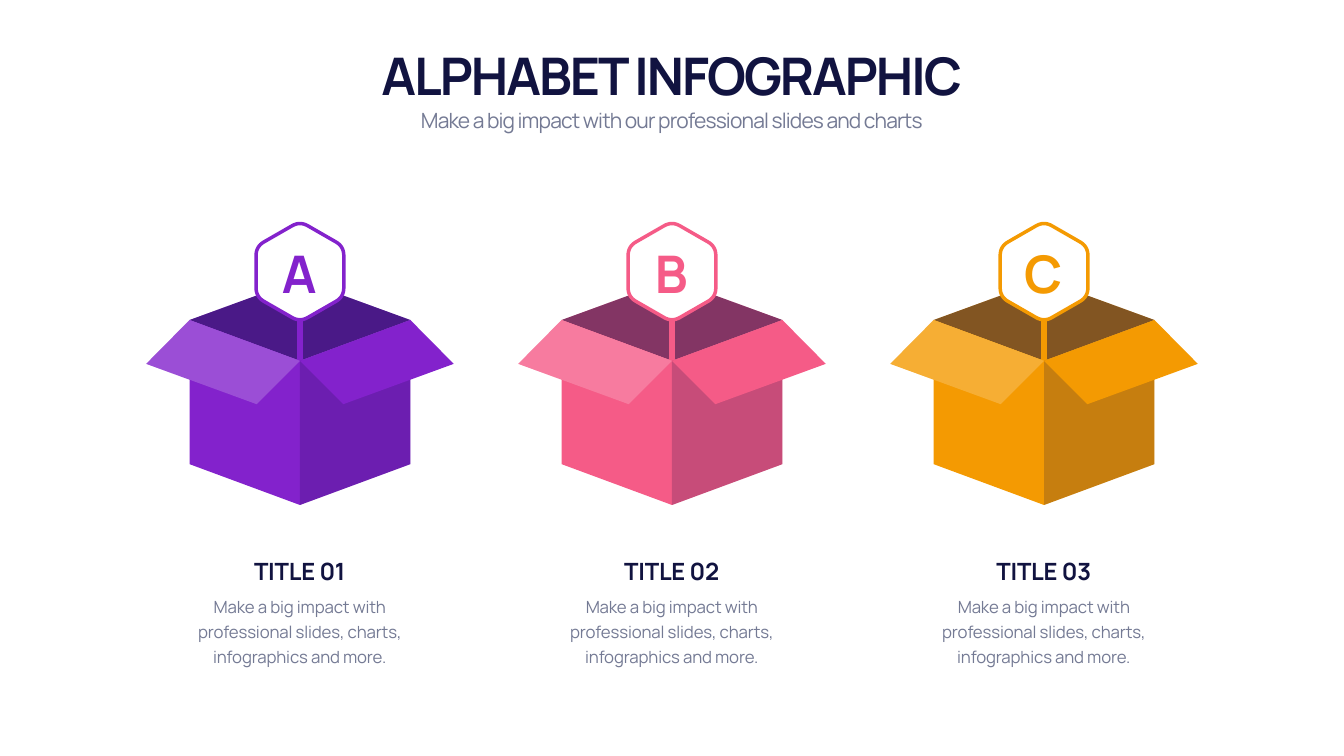
from dataclasses import dataclass

from lxml.etree import SubElement
from pptx import Presentation
from pptx.dml.color import RGBColor
from pptx.enum.text import MSO_ANCHOR as Anchor, MSO_AUTO_SIZE as AutoSize, PP_ALIGN as Align
from pptx.oxml.ns import qn
from pptx.util import Emu, Pt

PX = 9144  # EMU in one px, 100 px to the inch


@dataclass(frozen=True)
class Theme:
    font: str = "Manrope"
    ink: str = "111340"
    muted: str = "747A94"
    shade: str = "121143"
    white: str = "FFFFFF"
    display_size: int = 74
    subtitle_size: int = 30
    heading_size: int = 34
    body_size: int = 24
    badge_line: int = 5


THEME = Theme()
CENTER, PITCH = 1333, 738
BODY = "Make a big impact with professional slides, charts, infographics and more."
COLUMNS = [
    ("A", "TITLE 01", "8322CC"),
    ("B", "TITLE 02", "F55B87"),
    ("C", "TITLE 03", "F49A02"),
]

# Box corners, as px from the column's centre line and from the slide top
BACK, FRONT, BOTTOM = (0, 555), (0, 716), (0, 1002)
RIM_LEFT, RIM_RIGHT = (-219, 635), (219, 635)
BASE_LEFT, BASE_RIGHT = (-219, 921), (219, 921)
FLAP_LEFT = [FRONT, (-86, 802), (-305, 722), RIM_LEFT]
FLAP_RIGHT = [(-x, y) for x, y in FLAP_LEFT]
OPENING = [BACK, RIM_LEFT, FRONT, RIM_RIGHT]
SEAM = [(-6, 635), (6, 635), (6, 740), (-6, 740)]
WALLS = [BOTTOM, BASE_RIGHT, RIM_RIGHT, FRONT, RIM_LEFT, BASE_LEFT]
RIGHT_WALL = [BOTTOM, BASE_RIGHT, RIM_RIGHT, FRONT]

# Badge hexagon: centre line height, corners and length cut off at each corner
BADGE_Y = 539
HEXAGON = [(0, -100), (87, -50), (87, 50), (0, 100), (-87, 50), (-87, -50)]
CORNER_CUT, CORNER_STEPS = 18, 8


def color(value):
    return RGBColor.from_string(value)


def place(shape, left, top, width, height):
    shape.left, shape.top, shape.width, shape.height = (
        Emu(value * PX) for value in (left, top, width, height)
    )


def write_text(shape, text, *, size, fill, bold=False, spacing=0, line=None, anchor=Anchor.TOP):
    """Fill a shape with one centred paragraph."""
    frame = shape.text_frame
    frame.word_wrap = True
    frame.auto_size = AutoSize.NONE
    frame.vertical_anchor = anchor
    frame.margin_left = frame.margin_right = Emu(8 * PX)
    frame.margin_top = frame.margin_bottom = Emu(4 * PX)
    paragraph = frame.paragraphs[0]
    paragraph.alignment = Align.CENTER
    paragraph.space_before = Pt(0)
    paragraph.line_spacing = Pt(line) if line else 1.0
    run = paragraph.add_run()
    run.text = text
    font = run.font
    font.name, font.size, font.bold = THEME.font, Pt(size), bold
    font.color.rgb = color(fill)
    run._r.get_or_add_rPr().set("spc", str(round(spacing * 100)))


def add_text(slide, text, bounds, **text_format):
    shape = slide.shapes.add_textbox(0, 0, 0, 0)
    place(shape, *bounds)
    write_text(shape, text, **text_format)


def add_polygon(shapes, points, center_x, fill, *, top=0, opacity=100):
    """Draw a closed, unlined outline from points around center_x."""
    start, *rest = [(round((center_x + x) * PX), round((top + y) * PX)) for x, y in points]
    builder = shapes.build_freeform(*start)
    builder.add_line_segments(rest, close=True)
    shape = builder.convert_to_shape()
    shape.shadow.inherit = False
    shape.fill.solid()
    shape.fill.fore_color.rgb = color(fill)
    shape.line.fill.background()
    if opacity < 100:
        rgb = shape._element.spPr.find(f"{qn('a:solidFill')}/{qn('a:srgbClr')}")
        SubElement(rgb, qn("a:alpha")).set("val", str(opacity * 1000))
    return shape


def toward(start, end, share):
    return tuple(a + (b - a) * share for a, b in zip(start, end))


def rounded(corners):
    """Replace each corner of a regular hexagon with a short curve."""
    share = CORNER_CUT / 100
    points = []
    for index, corner in enumerate(corners):
        entry = toward(corner, corners[index - 1], share)
        leave = toward(corner, corners[(index + 1) % len(corners)], share)
        for step in range(CORNER_STEPS + 1):
            t = step / CORNER_STEPS
            points.append(toward(toward(entry, corner, t), toward(corner, leave, t), t))
    return points


def add_box(slide, center_x, accent):
    shapes = slide.shapes.add_group_shape().shapes
    for points, fill, opacity in [
        (OPENING, accent, 100),
        (OPENING, THEME.shade, 50),
        (SEAM, accent, 100),
        (WALLS, accent, 100),
        (RIGHT_WALL, THEME.shade, 20),
        (FLAP_RIGHT, accent, 100),
        (FLAP_LEFT, accent, 100),
        (FLAP_LEFT, THEME.white, 20),
    ]:
        add_polygon(shapes, points, center_x, fill, opacity=opacity)


def add_badge(slide, center_x, letter, accent):
    badge = add_polygon(slide.shapes, rounded(HEXAGON), center_x, THEME.white, top=BADGE_Y)
    badge.line.color.rgb = color(accent)
    badge.line.width = Pt(THEME.badge_line)
    add_text(slide, letter, (center_x - 68, 473, 133, 135), size=THEME.display_size,
             fill=accent, bold=True, spacing=-2.9, anchor=Anchor.MIDDLE)


def add_caption(slide, center_x, heading):
    left = center_x - 255
    add_text(slide, heading, (left, 1098, 509, 67), size=THEME.heading_size,
             fill=THEME.ink, bold=True, spacing=-0.3, anchor=Anchor.BOTTOM)
    add_text(slide, BODY, (left, 1170, 509, 158), size=THEME.body_size,
             fill=THEME.muted, spacing=-0.2, line=36)


def add_header(slide):
    title, subtitle = slide.placeholders
    place(title, 166, 76, 2333, 138)
    write_text(title, "ALPHABET INFOGRAPHIC", size=THEME.display_size, fill=THEME.ink,
               bold=True, spacing=-2.9, line=94, anchor=Anchor.BOTTOM)
    place(subtitle, 166, 201, 2333, 66)
    write_text(subtitle, "Make a big impact with our professional slides and charts",
               size=THEME.subtitle_size, fill=THEME.muted, spacing=-1.2, line=42)


def main():
    presentation = Presentation()
    presentation.slide_width, presentation.slide_height = Emu(2666 * PX), Emu(1500 * PX)
    slide = presentation.slides.add_slide(presentation.slide_layouts[0])
    slide.background.fill.solid()
    slide.background.fill.fore_color.rgb = color(THEME.white)

    add_header(slide)
    for index, (letter, heading, accent) in enumerate(COLUMNS):
        center_x = CENTER + (index - 1) * PITCH
        add_box(slide, center_x, accent)
        add_badge(slide, center_x, letter, accent)
        add_caption(slide, center_x, heading)

    presentation.save("out.pptx")


if __name__ == "__main__":
    main()
